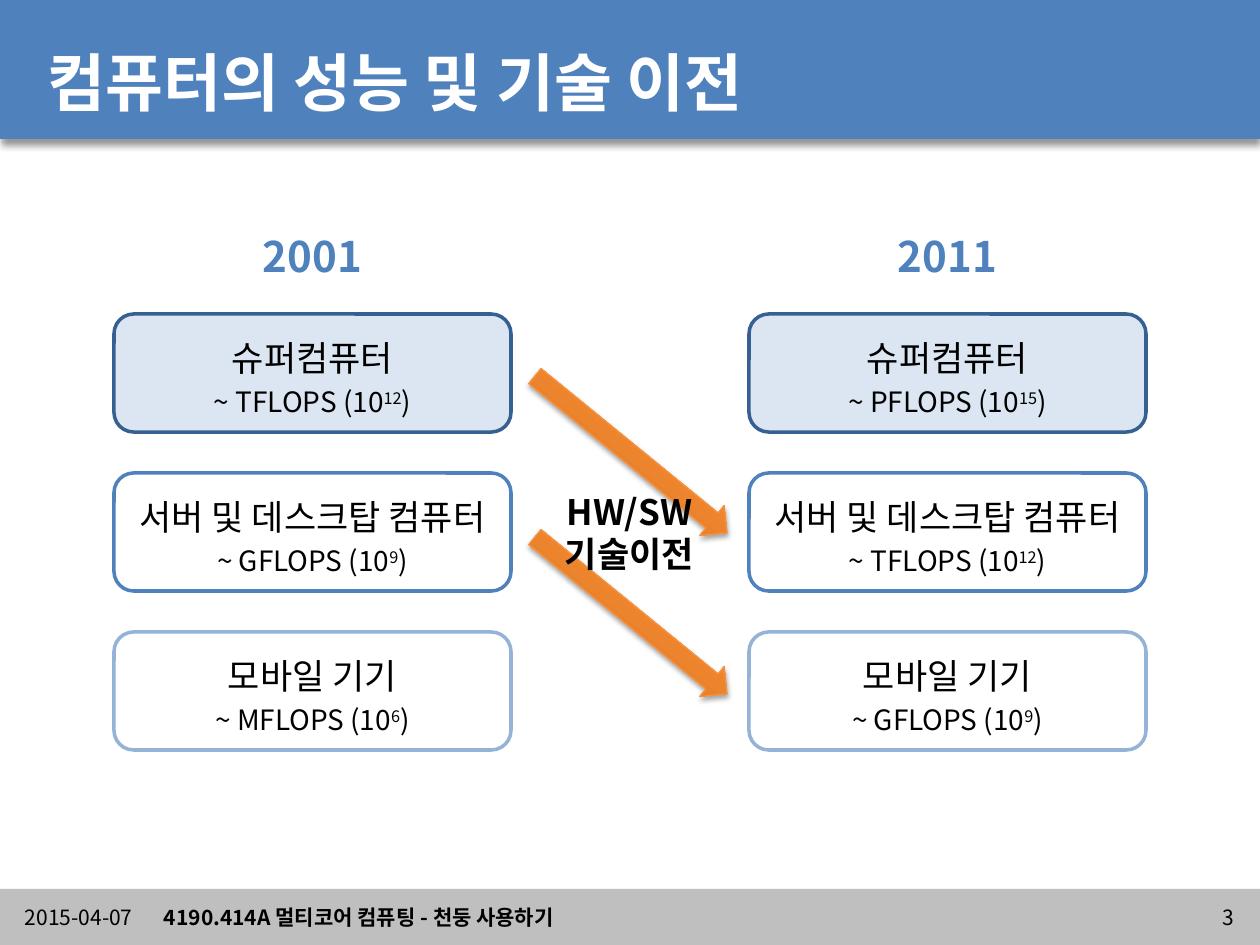
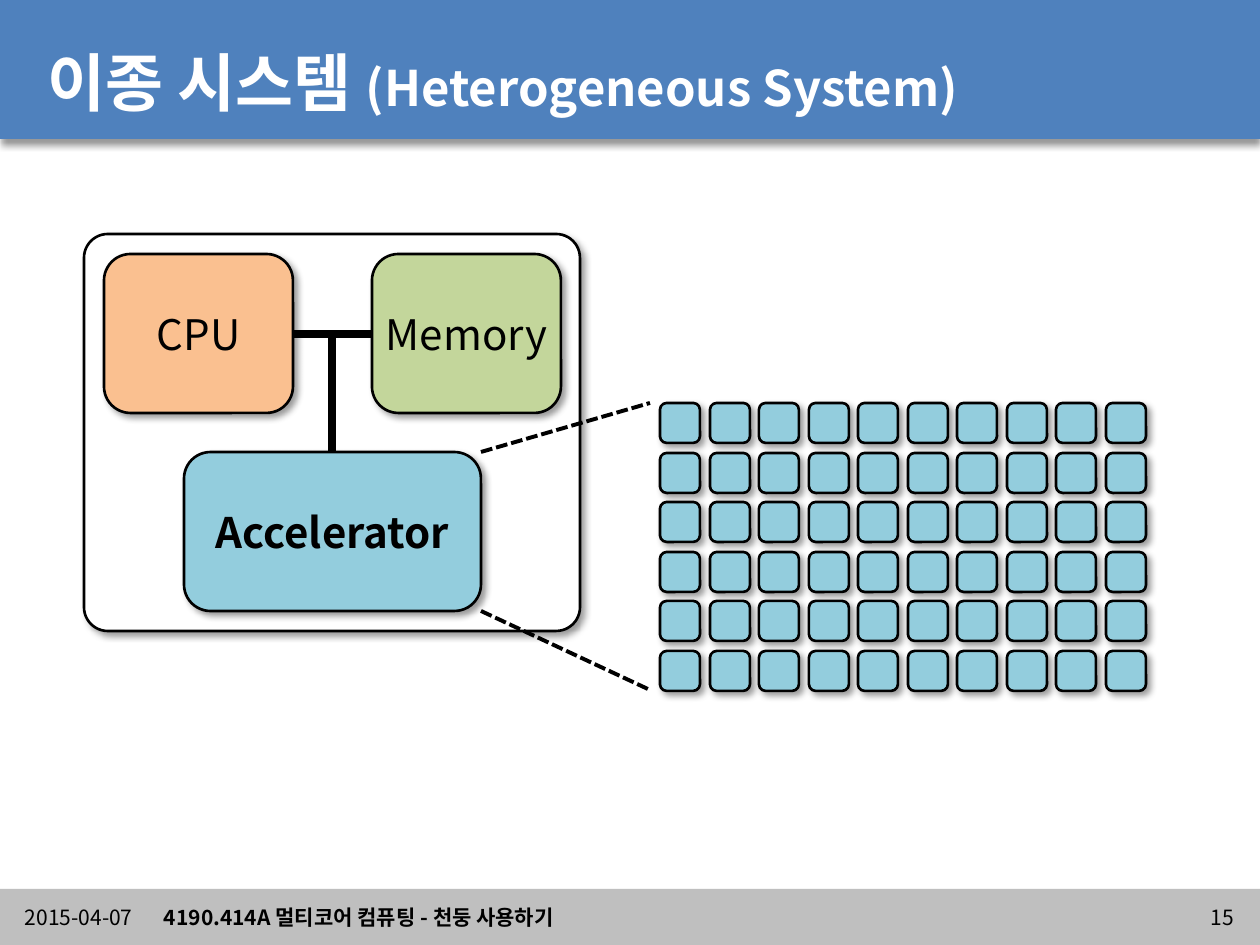
from lxml import etree
from pptx import Presentation
from pptx.dml.color import RGBColor
from pptx.enum.dml import MSO_LINE
from pptx.enum.shapes import MSO_CONNECTOR, MSO_SHAPE
from pptx.enum.text import MSO_ANCHOR, PP_ALIGN
from pptx.oxml import parse_xml
from pptx.oxml.ns import nsdecls, qn
from pptx.util import Emu, Pt

RECT = MSO_SHAPE.RECTANGLE
ROUNDED = MSO_SHAPE.ROUNDED_RECTANGLE
RIGHT_ARROW = MSO_SHAPE.RIGHT_ARROW
STRAIGHT = MSO_CONNECTOR.STRAIGHT
DASHED = MSO_LINE.SQUARE_DOT
MIDDLE, TOP = MSO_ANCHOR.MIDDLE, MSO_ANCHOR.TOP
LEFT, CENTER, RIGHT = PP_ALIGN.LEFT, PP_ALIGN.CENTER, PP_ALIGN.RIGHT

# Shared style
PX_PER_INCH = 126
SLIDE_WIDTH, SLIDE_HEIGHT = 1260, 945
FONT = "Noto Sans CJK KR"
BLACK, WHITE = "000000", "FFFFFF"
BLUE, DARK_BLUE, PALE_BLUE, SOFT_BLUE = "4F81BD", "376092", "DCE6F2", "95B3D7"
GREY, ORANGE, PEACH, GREEN, AQUA = "BFBFBF", "F69240", "FAC090", "C3D69B", "93CDDD"
ARROW_STOPS = [(0, "CC6E20"), (80, "FF9034"), (100, "FF9136")]

# Shadows: opacity %, blur pt, distance pt, direction in degrees
BAND_SHADOW = (40, 4, 3, 90)
BLOCK_SHADOW = (40, 4, 3, 45)
ARROW_SHADOW = (35, 3.1, 1.8, 90)

DATE = "2015-04-07"
COURSE = "4190.414A 멀티코어 컴퓨팅 - 천둥 사용하기"


def px(length):
    return Emu(round(length * 914400 / PX_PER_INCH))


def rgb(color):
    return RGBColor.from_string(color)


def cast_shadow(shape, opacity, blur, distance, direction):
    effects = shape._element.spPr.find(qn("a:effectLst"))
    effects.append(parse_xml(
        f'<a:outerShdw {nsdecls("a")} blurRad="{Pt(blur)}" dist="{Pt(distance)}"'
        f' dir="{direction * 60000}" algn="tl" rotWithShape="0">'
        f'<a:srgbClr val="{BLACK}"><a:alpha val="{opacity * 1000}"/></a:srgbClr>'
        '</a:outerShdw>'))


def fill_gradient(shape, stops):
    marks = "".join(f'<a:gs pos="{position * 1000}"><a:srgbClr val="{color}"/></a:gs>'
                    for position, color in stops)
    shape._element.spPr.insert(2, parse_xml(
        f'<a:gradFill {nsdecls("a")} rotWithShape="1"><a:gsLst>{marks}</a:gsLst>'
        f'<a:lin ang="{270 * 60000}" scaled="0"/></a:gradFill>'))


def add_block(slide, kind, box, fill, outline=None, weight=1.5, shadow=None):
    """Preset shape; fill is a hex colour or a list of gradient stops."""
    block = slide.shapes.add_shape(kind, *map(px, box))
    if isinstance(fill, str):
        block.fill.solid()
        block.fill.fore_color.rgb = rgb(fill)
    else:
        fill_gradient(block, fill)
    if outline:
        block.line.color.rgb = rgb(outline)
        block.line.width = Pt(weight)
    else:
        block.line.fill.background()
    block.shadow.inherit = False
    if shadow:
        cast_shadow(block, *shadow)
    return block


def add_link(slide, start, end, weight, dash=None):
    link = slide.shapes.add_connector(STRAIGHT, *map(px, start + end))
    link.line.color.rgb = rgb(BLACK)
    link.line.width = Pt(weight)
    if dash:
        link.line.dash_style = dash
    etree.SubElement(link._element.spPr, qn("a:effectLst"))


def style_paragraph(paragraph, size, color=BLACK, bold=False, align=CENTER, spacing=None):
    paragraph.alignment = align
    if spacing:
        paragraph.line_spacing = spacing
    font = paragraph.font
    font.size, font.bold, font.name = Pt(size), bold, FONT
    font.color.rgb = rgb(color)
    defaults = paragraph._p.pPr.find(qn("a:defRPr"))
    etree.SubElement(defaults, qn("a:ea")).set("typeface", FONT)


def add_text(slide, box, lines, size, anchor=MIDDLE, wrap=True, inset=None, **style):
    frame = slide.shapes.add_textbox(*map(px, box)).text_frame
    frame.word_wrap = wrap
    frame.vertical_anchor = anchor
    if inset is not None:
        frame.margin_left = frame.margin_right = px(inset)
        frame.margin_top = frame.margin_bottom = px(inset)
    frame.text = lines
    for paragraph in frame.paragraphs:
        style_paragraph(paragraph, size, **style)
    return frame


def start_slide(deck, title, number):
    """Blank slide with the title band and the footer."""
    slide = deck.slides.add_slide(deck.slide_layouts[6])
    add_block(slide, RECT, (0, 889, SLIDE_WIDTH, 56), GREY)
    add_block(slide, RECT, (0, 0, SLIDE_WIDTH, 139), BLUE, shadow=BAND_SHADOW)
    heading = add_text(slide, (35, 37, 1191, 89), title, 36,
                       color=WHITE, bold=True, align=LEFT)
    for left, width, text, bold, align in (
            (25, 139, DATE, False, LEFT),
            (164, 983, COURSE, True, LEFT),
            (1145, 89, str(number), False, RIGHT)):
        add_text(slide, (left, 902, width, 30), text, 12, inset=0, bold=bold, align=align)
    return slide, heading.paragraphs[0]


def add_machine_card(slide, left, top, machine, speed, exponent, fill, outline):
    card = add_block(slide, ROUNDED, (left, top, 397, 118), fill, outline, 2)
    frame = card.text_frame
    frame.word_wrap = True
    name, rating = frame.paragraphs[0], frame.add_paragraph()
    name.add_run().text = machine
    style_paragraph(name, 20, spacing=1.2)
    rating.add_run().text = f"~ {speed} (10"
    power = rating.add_run()
    power.text = str(exponent)
    power._r.get_or_add_rPr().set("baseline", "30000")
    rating.add_run().text = ")"
    style_paragraph(rating, 16, spacing=1.2)


def add_unit(slide, box, fill, label, bold=False, side_inset=13):
    unit = add_block(slide, ROUNDED, box, fill, BLACK, shadow=BLOCK_SHADOW)
    frame = unit.text_frame
    frame.word_wrap = True
    frame.margin_left = frame.margin_right = px(side_inset)
    frame.text = label
    style_paragraph(frame.paragraphs[0], 24, bold=bold)


def build_performance_slide(deck):
    slide, _ = start_slide(deck, "컴퓨터의 성능 및 기술 이전", 3)

    # One column of machine classes per year
    machines = [("슈퍼컴퓨터", PALE_BLUE, DARK_BLUE),
                ("서버 및 데스크탑 컴퓨터", WHITE, BLUE),
                ("모바일 기기", WHITE, SOFT_BLUE)]
    speeds_by_year = {
        "2001": [("TFLOPS", 12), ("GFLOPS", 9), ("MFLOPS", 6)],
        "2011": [("PFLOPS", 15), ("TFLOPS", 12), ("GFLOPS", 9)],
    }
    for column, (year, speeds) in enumerate(speeds_by_year.items()):
        left = 114 + column * 635
        add_text(slide, (left + 134, 224, 129, 63), year, 24, anchor=TOP,
                 wrap=False, color=BLUE, bold=True)
        for row, ((machine, fill, outline), (speed, exponent)) in enumerate(
                zip(machines, speeds)):
            add_machine_card(slide, left, 314 + row * 159, machine, speed,
                             exponent, fill, outline)

    # Technology transfer down one class
    for top in (435, 596):
        transfer = add_block(slide, RIGHT_ARROW, (507, top, 248, 39), ARROW_STOPS,
                             ORANGE, 0.75, ARROW_SHADOW)
        transfer.rotation = 39.2
    add_text(slide, (551, 484, 157, 97), "HW/SW\n기술이전", 20, wrap=False, bold=True)


def build_heterogeneous_slide(deck):
    slide, heading = start_slide(deck, "이종 시스템 ", 15)
    english = heading.add_run()
    english.text = "(Heterogeneous System)"
    english.font.size = Pt(28)

    # System board with its units and bus
    board = add_block(slide, ROUNDED, (84, 234, 496, 397), WHITE, BLACK,
                      shadow=BLOCK_SHADOW)
    board.adjustments[0] = 0.06
    add_unit(slide, (104, 254, 189, 159), PEACH, "CPU")
    add_unit(slide, (372, 254, 189, 159), GREEN, "Memory", side_inset=5)
    add_link(slide, (293, 334), (372, 334), 4.5)
    add_unit(slide, (184, 452, 297, 159), AQUA, "Accelerator", bold=True)
    add_link(slide, (332, 334), (332, 452), 4.5)

    # Accelerator cores, spread evenly over the grid
    rows, columns = 6, 10
    for row in range(rows):
        for column in range(columns):
            left = 660 + round(column * 446 / (columns - 1))
            top = 403 + round(row * 248 / (rows - 1))
            add_block(slide, ROUNDED, (left, top, 40, 40), AQUA, BLACK,
                      shadow=BLOCK_SHADOW)

    # Zoom lines from the accelerator to its cores
    add_link(slide, (481, 452), (650, 403), 2.25, DASHED)
    add_link(slide, (481, 611), (650, 690), 2.25, DASHED)


def main():
    deck = Presentation()
    deck.slide_width, deck.slide_height = px(SLIDE_WIDTH), px(SLIDE_HEIGHT)
    build_performance_slide(deck)
    build_heterogeneous_slide(deck)
    deck.save("out.pptx")


if __name__ == "__main__":
    main()
